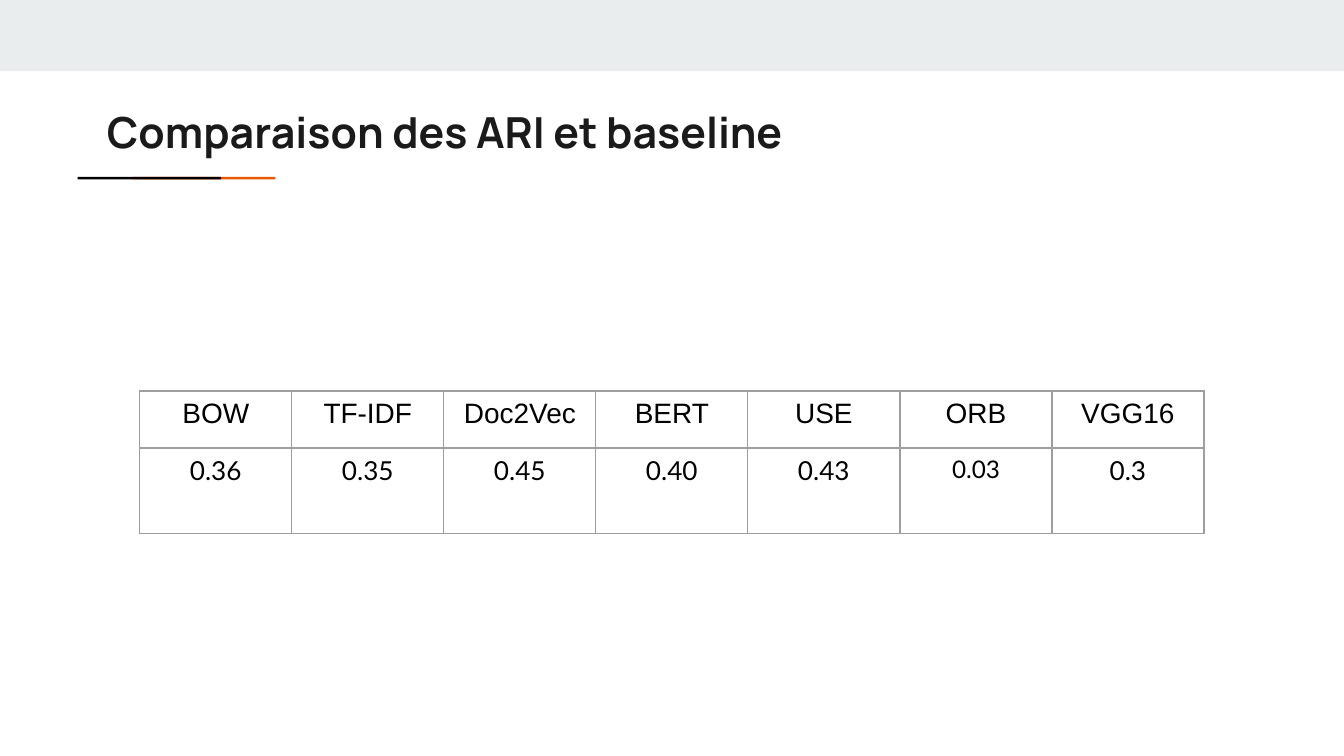
from lxml import etree
from pptx import Presentation
from pptx.dml.color import RGBColor
from pptx.enum.shapes import MSO_SHAPE
from pptx.enum.text import MSO_ANCHOR, PP_ALIGN
from pptx.oxml.ns import qn
from pptx.util import Pt

RECT = MSO_SHAPE.RECTANGLE
MIDDLE = MSO_ANCHOR.MIDDLE
CENTER = PP_ALIGN.CENTER

COLORS = {
    "band": "E9EDEE",
    "accent": "EB5600",
    "black": "000000",
    "title": "1A1A1A",
    "border": "9E9E9E",
}
SCORES = [
    ("BOW", "0.36", 14),
    ("TF-IDF", "0.35", 14),
    ("Doc2Vec", "0.45", 14),
    ("BERT", "0.40", 14),
    ("USE", "0.43", 14),
    ("ORB", "0.03", 13),
    ("VGG16", "0.3", 14),
]


def rgb(name):
    return RGBColor.from_string(COLORS[name])


def style(p, font, size, color, bold=False):
    p.font.name = font
    p.font.size = Pt(size)
    p.font.bold = bold
    p.font.color.rgb = rgb(color)


def add_bar(slide, x, y, w, h, color):
    sp = slide.shapes.add_shape(RECT, Pt(x), Pt(y), Pt(w), Pt(h))
    sp.shadow.inherit = False
    sp.fill.solid()
    sp.fill.fore_color.rgb = rgb(color)
    sp.line.fill.background()


def add_underline(slide, x, y, w, h):
    add_bar(slide, x + 0.28 * w, y, 0.72 * w, h, "accent")
    add_bar(slide, x, y, 0.725 * w, h, "black")


def add_title(slide, x, y, w, h, text):
    tf = slide.shapes.add_textbox(Pt(x), Pt(y), Pt(w), Pt(h)).text_frame
    tf.word_wrap = True
    tf.vertical_anchor = MIDDLE
    tf.margin_left = tf.margin_right = 0
    tf.margin_top = tf.margin_bottom = Pt(7.2)
    p = tf.paragraphs[0]
    p.text = text
    style(p, "Manrope", 22.9, "title", True)


def set_borders(cell):
    tc_pr = cell._tc.get_or_add_tcPr()
    for i, side in enumerate(("lnL", "lnR", "lnT", "lnB")):
        ln = etree.Element(qn(f"a:{side}"), w=str(Pt(0.75)))
        fill = etree.SubElement(ln, qn("a:solidFill"))
        etree.SubElement(fill, qn("a:srgbClr"), val=COLORS["border"])
        tc_pr.insert(i, ln)


def fill_cell(cell, text, font, size):
    cell.fill.background()
    cell.margin_left = cell.margin_right = Pt(7.2)
    cell.margin_top = cell.margin_bottom = Pt(3.6)
    p = cell.text_frame.paragraphs[0]
    p.text = text
    p.alignment = CENTER
    style(p, font, size, "black")
    set_borders(cell)


def add_score_table(slide, x, y, w, h):
    table = slide.shapes.add_table(
        2, len(SCORES), Pt(x), Pt(y), Pt(w), Pt(h)).table
    table.first_row = table.horz_banding = False
    table.rows[0].height = Pt(0.4 * h)
    table.rows[1].height = Pt(0.6 * h)
    for i, (model, score, size) in enumerate(SCORES):
        table.columns[i].width = Pt(w / len(SCORES))
        fill_cell(table.cell(0, i), model, "Arial", 15)
        fill_cell(table.cell(1, i), score, "Lato", size)


def main():
    prs = Presentation()
    prs.slide_width, prs.slide_height = Pt(720), Pt(405)
    slide = prs.slides.add_slide(prs.slide_layouts[6])
    add_bar(slide, 0, 0, 720, 38.2, "band")
    add_underline(slide, 41.6, 94.8, 106, 1.4)
    add_title(slide, 57.3, 49, 605.5, 42.5, "Comparaison des ARI et baseline")
    add_score_table(slide, 74.9, 209.5, 570.2, 76.2)
    prs.save("out.pptx")


if __name__ == "__main__":
    main()
